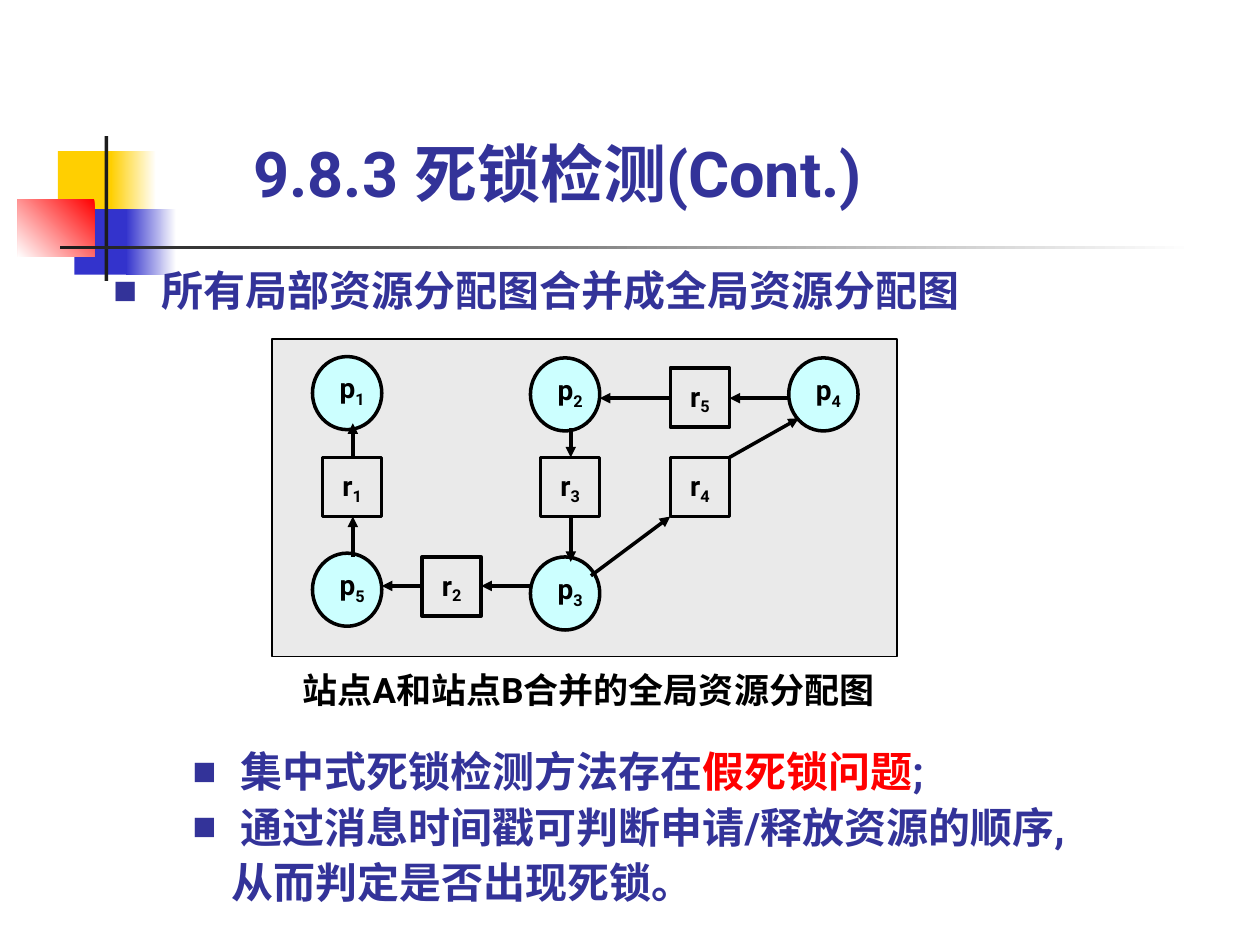
from lxml import etree
from pptx import Presentation
from pptx.dml.color import RGBColor
from pptx.enum.shapes import MSO_CONNECTOR, MSO_SHAPE
from pptx.enum.text import MSO_ANCHOR, MSO_AUTO_SIZE, PP_ALIGN
from pptx.oxml.ns import qn
from pptx.util import Inches, Pt

INDIGO, BLACK, RED, WHITE = "333399", "000000", "FF0000", "FFFFFF"
GOLD, BLUE, INK, GREY, CYAN = "FFCF01", "3333CC", "1C1C1C", "EAEAEA", "CCFFFF"

TITLE = "9.8.3 死锁检测(Cont.)"
TOPIC = "所有局部资源分配图合并成全局资源分配图"
CAPTION = "站点A和站点B合并的全局资源分配图"
CONCLUSIONS = [
    [("集中式死锁检测方法存在", INDIGO), ("假死锁问题", RED), (";", INDIGO)],
    [("通过消息时间戳可判断申请/释放资源的顺序,", INDIGO)],
]
CONTINUATION = [("从而判定是否出现死锁。", INDIGO)]

# box, colours (two make a gradient), gradient angle
ORNAMENTS = [
    ((0.46, 1.2, 0.48, 0.52), [GOLD], 0),
    ((0.88, 1.2, 0.36, 0.52), [WHITE, GOLD], 180),
    ((0.59, 1.66, 0.46, 0.52), [BLUE], 0),
    ((1, 1.66, 0.4, 0.52), [WHITE, BLUE], 180),
    ((0.14, 1.58, 0.61, 0.46), [RED, WHITE], 225),
    ((0.83, 1.08, 0.03, 1.15), [INK], 0),
    ((0.48, 1.95, 9, 0.03), [WHITE, INK], 180),
]

# Left and top of each node
PROCESSES = {"1": (2.48, 2.83), "5": (2.48, 4.39), "3": (4.21, 4.42),
             "2": (4.21, 2.84), "4": (6.26, 2.84)}
RESOURCES = {"1": (2.56, 3.63), "2": (3.35, 4.42), "3": (4.29, 3.63),
             "5": (5.32, 2.92), "4": (5.32, 3.63)}
PROCESS_SIZE, RESOURCE_SIZE = (0.55, 0.58), (0.47, 0.47)

# Arrows along a shared column or row, then the slanted ones
COLUMN_ARROWS = {4.53: [(3.4, 3.63), (4.1, 4.46)], 2.8: [(4.42, 4.1), (3.63, 3.36)]}
ROW_ARROWS = {4.65: [(4.21, 3.82), (3.35, 3.03)], 3.16: [(6.26, 5.79), (5.32, 4.76)]}
SLANTED_ARROWS = [((4.69, 4.57), (5.32, 4.1)), ((5.79, 3.63), (6.34, 3.32))]


def rgb(colour):
    return RGBColor.from_string(colour)


def place(shape, box):
    shape.left, shape.top, shape.width, shape.height = map(Inches, box)


def set_frame(frame, insets=(0, 0, 0, 0), anchor=MSO_ANCHOR.TOP, wrap=True, grow=False):
    (frame.margin_left, frame.margin_top,
     frame.margin_right, frame.margin_bottom) = map(Inches, insets)
    frame.vertical_anchor = anchor
    frame.word_wrap = wrap
    frame.auto_size = MSO_AUTO_SIZE.SHAPE_TO_FIT_TEXT if grow else MSO_AUTO_SIZE.NONE


def write(paragraph, runs, size, align=PP_ALIGN.LEFT, spacing=1.0,
          bullet=False, indent=0, subscript=0):
    """Fill a paragraph with (text, colour) runs; subscript lowers the last run."""
    paragraph.alignment = align
    paragraph.line_spacing = spacing
    paragraph.space_before = Pt(0)
    properties = paragraph._p.get_or_add_pPr()
    properties.set("marL", str(Inches(indent)))
    properties.set("indent", str(-Inches(indent) if bullet else 0))
    if bullet:
        colour = etree.SubElement(properties, qn("a:buClr"))
        etree.SubElement(colour, qn("a:srgbClr"), val=INDIGO)
        etree.SubElement(properties, qn("a:buSzPct"), val="60000")
        etree.SubElement(properties, qn("a:buFont"), typeface="Roboto")
        etree.SubElement(properties, qn("a:buChar"), char="■")
    else:
        etree.SubElement(properties, qn("a:buNone"))
    for text, colour in runs:
        run = paragraph.add_run()
        run.text = text
        run.font.name, run.font.size, run.font.bold = "Roboto", Pt(size), True
        run.font.color.rgb = rgb(colour)
    if subscript:
        run.font._element.set("baseline", str(-subscript * 1000))


def add_box(shapes, kind, box, colours, angle=0, line_width=0):
    shape = shapes.add_shape(kind, *map(Inches, box))
    shape.shadow.inherit = False
    if len(colours) == 1:
        shape.fill.solid()
        shape.fill.fore_color.rgb = rgb(colours[0])
    else:
        shape.fill.gradient()
        shape.fill.gradient_angle = angle
        for stop, colour in zip(shape.fill.gradient_stops, colours):
            stop.color.rgb = rgb(colour)
    if line_width:
        shape.line.color.rgb = rgb(BLACK)
        shape.line.width = Pt(line_width)
    else:
        shape.line.fill.background()
    return shape


def add_process(shapes, number, corner):
    node = add_box(shapes, MSO_SHAPE.OVAL, corner + PROCESS_SIZE, [CYAN], line_width=2)
    set_frame(node.text_frame, (0.08, 0, 0, 0.08), MSO_ANCHOR.MIDDLE)
    write(node.text_frame.paragraphs[0], [("p", BLACK), (number, BLACK)], 16,
          align=PP_ALIGN.CENTER, spacing=1.1, subscript=25)


def add_resource(shapes, number, corner):
    node = add_box(shapes, MSO_SHAPE.RECTANGLE, corner + RESOURCE_SIZE, [GREY], line_width=2)
    set_frame(node.text_frame, (0.1, 0.05, 0.1, 0.05), MSO_ANCHOR.MIDDLE, wrap=False)
    write(node.text_frame.paragraphs[0], [("r", BLACK), (number, BLACK)], 16,
          align=PP_ALIGN.CENTER, subscript=20)


def add_arrow(shapes, start, end):
    arrow = shapes.add_connector(MSO_CONNECTOR.STRAIGHT, *map(Inches, start + end))
    arrow.line.color.rgb = rgb(BLACK)
    arrow.line.width = Pt(2)
    etree.SubElement(arrow.line._get_or_add_ln(), qn("a:tailEnd"), type="triangle")
    etree.SubElement(arrow._element.spPr, qn("a:effectLst"))


def main():
    deck = Presentation()
    deck.slide_width, deck.slide_height = Inches(10), Inches(7.5)
    slide = deck.slides.add_slide(deck.slide_layouts[1])
    shapes = slide.shapes
    title, topic = shapes.title, slide.placeholders[1]

    for box, colours, angle in ORNAMENTS:
        add_box(shapes, MSO_SHAPE.RECTANGLE, box, colours, angle)
    for placeholder in (title, topic):  # bring in front of the ornaments
        shapes._spTree.append(placeholder._element)

    place(title, (2.01, 1.07, 5.77, 0.6))
    set_frame(title.text_frame, anchor=MSO_ANCHOR.BOTTOM, grow=True)
    write(title.text_frame.paragraphs[0], [(TITLE, INDIGO)], 36)

    place(topic, (0.9, 2.1, 7.01, 0.4))
    set_frame(topic.text_frame)
    write(topic.text_frame.paragraphs[0], [(TOPIC, INDIGO)], 24, bullet=True, indent=0.38)

    add_box(shapes, MSO_SHAPE.RECTANGLE, (2.16, 2.69, 4.96, 2.52), [GREY], line_width=0.75)
    caption = shapes.add_textbox(*map(Inches, (2.16, 5.25, 5.02, 0.44)))
    set_frame(caption.text_frame, (0.1, 0.05, 0.1, 0.05), MSO_ANCHOR.MIDDLE, wrap=False)
    write(caption.text_frame.paragraphs[0], [(CAPTION, BLACK)], 20, align=PP_ALIGN.CENTER)

    for number, corner in PROCESSES.items():
        add_process(shapes, number, corner)
    for number, corner in RESOURCES.items():
        add_resource(shapes, number, corner)

    arrows = [((x, y1), (x, y2)) for x, spans in COLUMN_ARROWS.items() for y1, y2 in spans]
    arrows += [((x1, y), (x2, y)) for y, spans in ROW_ARROWS.items() for x1, x2 in spans]
    for start, end in arrows + SLANTED_ARROWS:
        add_arrow(shapes, start, end)

    conclusions = shapes.add_textbox(*map(Inches, (1.53, 5.88, 7.17, 1.76)))
    frame = conclusions.text_frame
    set_frame(frame)
    for index, runs in enumerate(CONCLUSIONS):
        paragraph = frame.add_paragraph() if index else frame.paragraphs[0]
        write(paragraph, runs, 24, spacing=1.1, bullet=True, indent=0.38)
    write(frame.add_paragraph(), CONTINUATION, 24, spacing=1.1, indent=0.31)

    deck.save("out.pptx")


if __name__ == "__main__":
    main()
